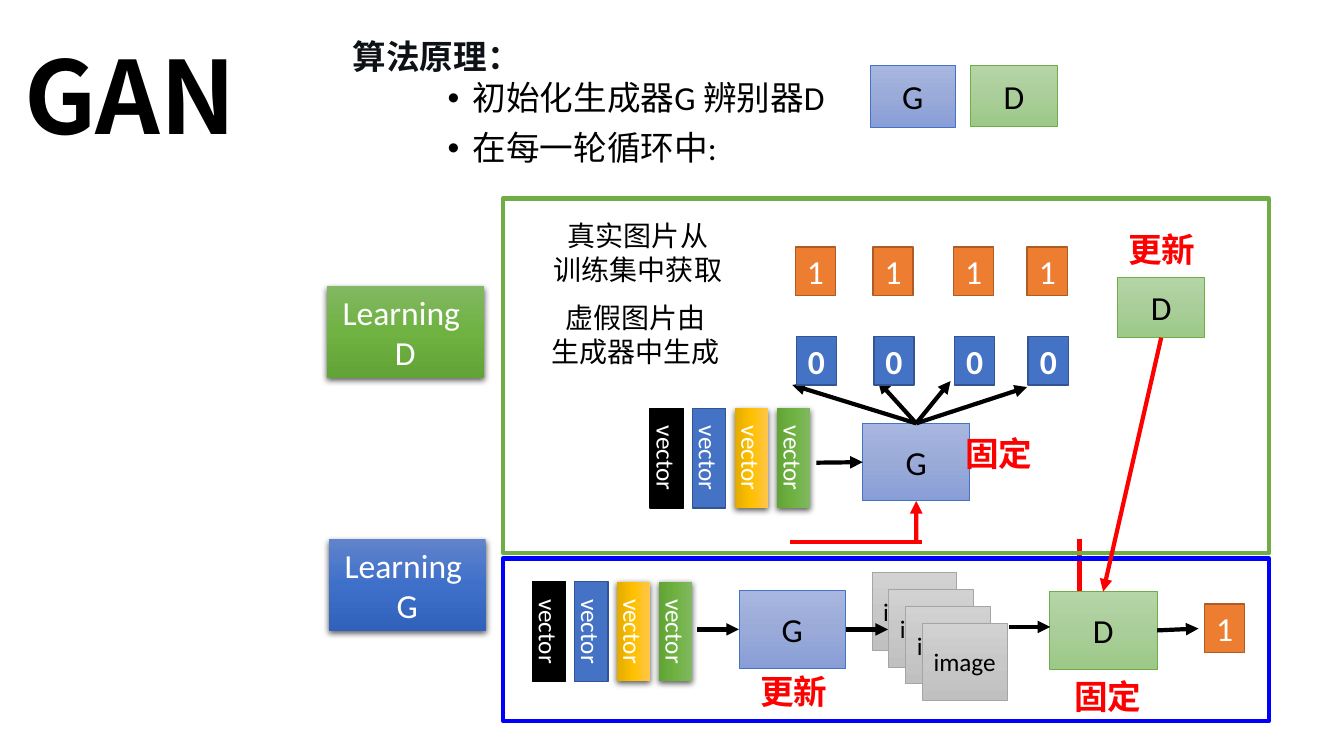
"""Build the GAN training algorithm slide."""
from dataclasses import dataclass

from lxml.etree import SubElement
from pptx import Presentation
from pptx.dml.color import RGBColor
from pptx.enum.shapes import MSO_CONNECTOR, MSO_SHAPE
from pptx.enum.text import MSO_ANCHOR, MSO_AUTO_SIZE, PP_ALIGN
from pptx.oxml import parse_xml
from pptx.oxml.ns import nsdecls, qn
from pptx.util import Pt

TOP, LEFT, BOTTOM, RIGHT = range(4)


@dataclass(frozen=True)
class Paint:
    fill: tuple
    text: str
    size: int
    line: str = ""
    width: float = 0
    bold: bool = False
    shadow: bool = False


@dataclass(frozen=True)
class Theme:
    black: str = "000000"
    red: str = "FF0000"
    blue: str = "0000FF"
    green: str = "70AD47"
    ink: str = "0E1116"
    latin: str = "Calibri"
    label: str = "Arial"
    heading: str = "Noto Sans CJK SC"
    title_size: int = 72
    body_size: int = 24
    note_size: int = 20
    stroke: float = 3
    generator: Paint = Paint(("A8B7DF", "9AABD9", "889ED7"), "000000", 24, "4472C4", 0.5)
    discriminator: Paint = Paint(("B5D5A7", "AACE9A", "9CC987"), "000000", 24, "70AD47", 0.5)
    image: Paint = Paint(("D2D2D2", "C8C8C8", "C0C0C0"), "000000", 18, "A5A5A5", 0.5)
    learn_d: Paint = Paint(("81B861", "6FB242", "62A336"), "FFFFFF", 24, shadow=True)
    learn_g: Paint = Paint(("6183CB", "3E70CA", "3062BB"), "FFFFFF", 24, shadow=True)
    one: Paint = Paint(("ED7D31",), "FFFFFF", 24, "AF5C24", 1)
    zero: Paint = Paint(("4472C4",), "FFFFFF", 24, "325491", 1, bold=True)
    vectors: tuple = (
        Paint(("000000",), "FFFFFF", 18, "000000", 1),
        Paint(("4472C4",), "FFFFFF", 18, "325491", 1),
        Paint(("FFC64B", "FFC000", "E3AB00"), "FFFFFF", 18, shadow=True),
        Paint(("81B861", "6FB242", "62A336"), "FFFFFF", 18, shadow=True),
    )


class SlideBuilder:
    def __init__(self, slide, theme):
        self.slide = slide
        self.theme = theme

    def set_text(self, frame, lines, font, size, color, bold=False, align=PP_ALIGN.CENTER):
        frame.text = "\n".join(lines)
        for paragraph in frame.paragraphs:
            paragraph.alignment = align
            paragraph.font.name = font
            paragraph.font.size = Pt(size)
            paragraph.font.bold = bold
            paragraph.font.color.rgb = RGBColor.from_string(color)

    def place(self, holder, left, top, width, height):
        holder.left, holder.top = Pt(left), Pt(top)
        holder.width, holder.height = Pt(width), Pt(height)
        frame = holder.text_frame
        frame.auto_size = MSO_AUTO_SIZE.NONE
        frame.vertical_anchor = MSO_ANCHOR.TOP
        frame.word_wrap = True
        return frame

    def title(self, text, *bounds):
        frame = self.place(self.slide.shapes.title, *bounds)
        frame.text = text
        frame.paragraphs[0].line_spacing = 0.9
        self.set_text(frame, [text], self.theme.heading, self.theme.title_size, self.theme.black, True)

    def bullets(self, lines, *bounds):
        frame = self.place(self.slide.placeholders[1], *bounds)
        frame.text = "\n".join(lines)
        for index, paragraph in enumerate(frame.paragraphs):
            paragraph.line_spacing = 0.9
            paragraph.space_before = Pt(10 if index else 0)
            properties = paragraph._p.get_or_add_pPr()
            properties.set("marL", str(Pt(18)))
            properties.set("indent", str(-Pt(18)))
            SubElement(properties, qn("a:buFont")).set("typeface", "Arial")
            SubElement(properties, qn("a:buChar")).set("char", "•")
            paragraph.font.name = self.theme.latin
            paragraph.font.size = Pt(self.theme.body_size)
            paragraph.font.color.rgb = RGBColor.from_string(self.theme.black)

    def label(self, lines, left, top, width, height, size, color, bold=False,
              font=None, align=PP_ALIGN.CENTER, wrap=True):
        box = self.slide.shapes.add_textbox(Pt(left), Pt(top), Pt(width), Pt(height))
        box.text_frame.word_wrap = wrap
        self.set_text(box.text_frame, lines, font or self.theme.label, size, color, bold, align)

    def status(self, text, left, top, width):
        self.label([text], left, top, width, 36, self.theme.body_size, self.theme.red, True)

    def rectangle(self, left, top, width, height, line, weight):
        shape = self.slide.shapes.add_shape(
            MSO_SHAPE.RECTANGLE, Pt(left), Pt(top), Pt(width), Pt(height))
        shape.shadow.inherit = False
        if line:
            shape.line.color.rgb = RGBColor.from_string(line)
            shape.line.width = Pt(weight)
        else:
            shape.line.fill.background()
        return shape

    def frame(self, color, *bounds):
        self.rectangle(*bounds, color, self.theme.stroke).fill.background()

    def block(self, lines, paint, left, top, width, height, rotation=0):
        shape = self.rectangle(left, top, width, height, paint.line, paint.width)
        shape.rotation = rotation
        properties = shape._element.spPr
        if len(paint.fill) == 1:
            shape.fill.solid()
            shape.fill.fore_color.rgb = RGBColor.from_string(paint.fill[0])
        else:
            stops = "".join(
                f'<a:gs pos="{50000 * index}"><a:srgbClr val="{color}"/></a:gs>'
                for index, color in enumerate(paint.fill))
            properties.find(qn("a:prstGeom")).addnext(parse_xml(
                f'<a:gradFill {nsdecls("a")} rotWithShape="1"><a:gsLst>{stops}</a:gsLst>'
                '<a:lin ang="5400000" scaled="0"/></a:gradFill>'))
        if paint.shadow:
            properties.find(qn("a:effectLst")).append(parse_xml(
                f'<a:outerShdw {nsdecls("a")} blurRad="{Pt(4.5)}" dist="{Pt(1.5)}" dir="5400000" '
                'algn="ctr" rotWithShape="0"><a:srgbClr val="000000"><a:alpha val="63000"/>'
                '</a:srgbClr></a:outerShdw>'))
        shape.text_frame.word_wrap = True
        shape.text_frame.vertical_anchor = MSO_ANCHOR.MIDDLE
        self.set_text(shape.text_frame, lines, self.theme.latin, paint.size, paint.text, paint.bold)
        return shape

    def vectors(self, left, top):
        for index, paint in enumerate(self.theme.vectors):
            self.block(["vector"], paint, left + 30.2 * index, top, 71.3, 23.8, rotation=90)

    def link(self, start, end, color, begin=None, finish=None, arrow=True):
        connector = self.slide.shapes.add_connector(
            MSO_CONNECTOR.STRAIGHT, *map(Pt, start), *map(Pt, end))
        if begin:
            connector.begin_connect(*begin)
        if finish:
            connector.end_connect(*finish)
        connector.line.color.rgb = RGBColor.from_string(color)
        connector.line.width = Pt(self.theme.stroke)
        properties = connector._element.spPr
        if arrow:
            SubElement(properties.find(qn("a:ln")), qn("a:tailEnd")).set("type", "triangle")
        SubElement(properties, qn("a:effectLst"))


def main():
    deck = Presentation()
    deck.slide_width, deck.slide_height = Pt(960), Pt(540)
    theme = Theme()
    page = SlideBuilder(deck.slides.add_slide(deck.slide_layouts[1]), theme)

    page.title("GAN", 0, 20.2, 185.8, 94.3)
    page.bullets(["初始化生成器G 辨别器D", "在每一轮循环中:"], 312.5, 54.7, 620.6, 478)
    page.label(["算法原理："], 244.8, 22.3, 135.4, 36, theme.body_size, theme.ink, True,
               theme.heading, PP_ALIGN.LEFT, wrap=False)
    page.block(["G"], theme.generator, 621.4, 46.8, 61.2, 43.9)
    page.block(["D"], theme.discriminator, 693.4, 46.8, 61.9, 43.2)

    page.block(["Learning ", "D"], theme.learn_d, 233.3, 204.5, 112.3, 65.5)
    page.block(["Learning ", "G"], theme.learn_g, 234.7, 385.2, 112.3, 65.5)
    page.label(["真实图片从", "训练集中获取"], 364.3, 152.6, 182.9, 55.4, theme.note_size, theme.black)
    page.label(["虚假图片由", "生成器中生成"], 370.1, 211, 167.8, 65.5, theme.note_size, theme.black)

    fixed_g = page.block(["G"], theme.generator, 616.3, 302.4, 76.3, 55.4)
    updated_d = page.block(["D"], theme.discriminator, 798.5, 198, 61.9, 43.2)
    updated_g = page.block(["G"], theme.generator, 527.8, 421.9, 76.3, 55.4)
    fixed_d = page.block(["D"], theme.discriminator, 749.5, 422.6, 77, 55.4)
    for step in range(4):
        page.block(["image"], theme.image, 622.8 + 12 * step, 409 + 12 * step, 60.5, 55.4)

    page.link((583.2, 330.5), (616.3, 330.1), theme.black, finish=(fixed_g, LEFT))
    for target in ((565.9, 275), (627.1, 272.2), (679, 272.2), (733.7, 276.5)):
        page.link((654.5, 302.4), target, theme.black, begin=(fixed_g, TOP))
    page.link((498.2, 449.6), (527.8, 449.6), theme.black, finish=(updated_g, LEFT))
    page.link((604.1, 449.6), (634.3, 449.6), theme.black, begin=(updated_g, RIGHT))
    page.link((720.7, 447.8), (750.2, 447.8), theme.black)
    page.link((826.5, 450.3), (856.1, 449), theme.black, begin=(fixed_d, RIGHT))

    for left in (568.1, 623.5, 681.1, 733.7):
        page.block(["1"], theme.one, left, 176.4, 28.8, 34.6)
        page.block(["0"], theme.zero, left + 0.7, 240.5, 28.8, 34.6)
    page.block(["1"], theme.one, 860.4, 431.3, 28.8, 34.6)

    page.link((564.5, 387.4), (658.8, 387.4), theme.red, arrow=False)
    page.link((654.5, 387.4), (654.5, 357.8), theme.red, finish=(fixed_g, BOTTOM))
    page.link((771.1, 421.9), (771.1, 385.2), theme.red, arrow=False)
    page.frame(theme.blue, 359.3, 398.9, 547.2, 115.9)
    page.frame(theme.green, 359.3, 141.8, 547.2, 253.4)
    page.link((829.4, 241.2), (788, 422.6), theme.red, (updated_d, BOTTOM), (fixed_d, TOP))

    page.vectors(440.6, 315.4)
    page.vectors(356.4, 439.2)
    for text, left, top, width in (("更新", 785.5, 159.8, 88.6), ("固定", 653.8, 306, 119.5),
                                   ("固定", 731.5, 479.5, 119.5), ("更新", 522.7, 475.9, 88.6)):
        page.status(text, left, top, width)
    deck.save("out.pptx")


if __name__ == "__main__":
    main()
